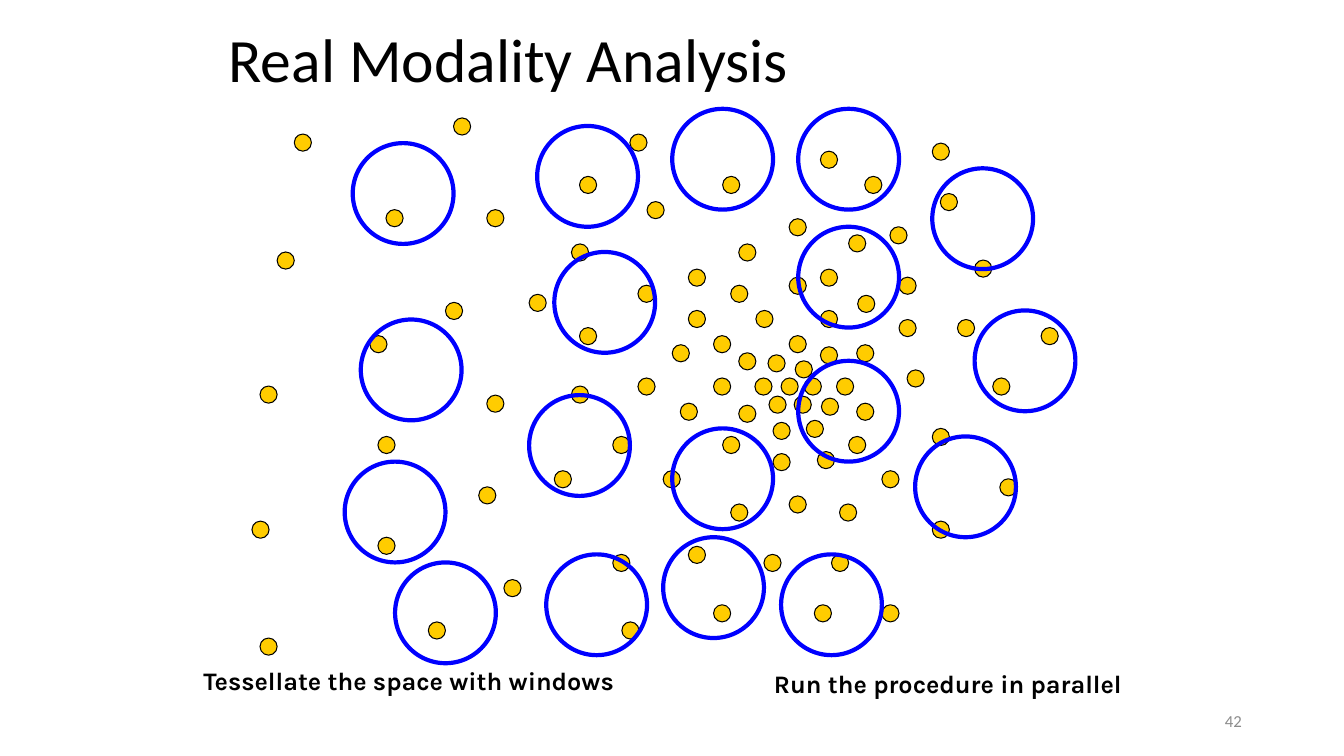
from pptx import Presentation
from pptx.dml.color import RGBColor
from pptx.enum.shapes import MSO_SHAPE
from pptx.enum.text import MSO_ANCHOR, PP_ALIGN
from pptx.util import Cm, Pt

OVAL = MSO_SHAPE.OVAL
TOP, MIDDLE = MSO_ANCHOR.TOP, MSO_ANCHOR.MIDDLE
LEFT, RIGHT = PP_ALIGN.LEFT, PP_ALIGN.RIGHT

COLORS = {"dot": "FFCC00", "outline": "000000", "window": "0000FF",
          "text": "000000", "number": "8C8C8C"}

UNIT = 2.54  # centimetres per layout unit
DOT_SIZE, WINDOW_SIZE = 0.17, 1

# Left and top of each data point, in layout units
DOTS = [
    (7.75, 3.75), (7.98, 3.75), (7.89, 3.58), (7.62, 3.52), (7.88, 3.93),
    (7.63, 3.93), (8.15, 3.95), (7.49, 3.75), (8.3, 3.75), (8.14, 3.44),
    (7.83, 3.33), (8, 4.17), (7.67, 4.19), (7.33, 4.02), (7.08, 3.75),
    (7.33, 3.5), (8.5, 4), (8.42, 4.33), (8.11, 4.48), (7.67, 4.5),
    (7.17, 4.33), (6.75, 4), (6.67, 3.42), (7.08, 3.33), (7.5, 3.08),
    (8.14, 3.08), (7.83, 2.75), (6.83, 3.08), (7.25, 2.83), (7.83, 2.17),
    (7.33, 2.42), (8.14, 2.67), (8.14, 1.5), (8.42, 2.33), (8.51, 2.93),
    (8.5, 3.42), (8.92, 3.17), (8.92, 2.75), (8.83, 2.25), (8.58, 1.75),
    (9.25, 1.42), (9.33, 1.92), (9.67, 2.58), (9, 3.67), (9.5, 3.17),
    (10.33, 3.25), (9.25, 4.25), (9.85, 3.75), (8.75, 4.67), (9.92, 4.75),
    (9.25, 5.17), (8.33, 5), (7.83, 4.92), (8.25, 5.5), (8.75, 6),
    (8.08, 6), (7.58, 5.5), (7.25, 5), (6.58, 4.67), (6.83, 5.42),
    (7.08, 6), (6.17, 6.17), (6.08, 5.5), (5.5, 4.67), (6.08, 4.33),
    (6.33, 3.75), (5.75, 3.25), (6.33, 2.83), (6.83, 2.67), (6.42, 2),
    (7.17, 1.75), (6.25, 1.33), (5.75, 1.75), (5.67, 2.42), (5.25, 2.92),
    (5.67, 3.83), (4.83, 3.92), (4.75, 4.83), (5, 5.75), (4.25, 6.17),
    (3.75, 5.33), (3.75, 4.33), (4.42, 3), (4.83, 2.08), (3.83, 2.08),
    (3.67, 3.33), (2.5, 5.17), (2.58, 6.33), (2.58, 3.83), (2.75, 2.5),
    (2.92, 1.33), (4.5, 1.17),
]

# Left and top of each search window
WINDOWS = [
    (3.92, 5.58), (3.42, 4.58), (3.58, 3.17), (3.5, 1.42), (5.33, 1.25),
    (5.42, 5.5), (6.58, 5.33), (7.75, 5.5), (9.08, 4.33), (9.67, 3.08),
    (9.25, 1.67), (7.92, 1.08), (6.67, 1.08), (5.25, 3.92), (5.5, 2.5),
    (7.92, 2.25), (7.92, 3.58), (6.67, 4.25),
]

# Text, box, font, size, bold, colour, anchor, alignment, wrap
TEXTS = [
    ("Tessellate the space with windows", (1.92, 6.55, 4.58, 0.4),
     "Karla", 18, True, "text", TOP, LEFT, True),
    ("Run the procedure in parallel", (7.58, 6.58, 3.66, 0.4),
     "Karla", 18, True, "text", TOP, LEFT, False),
    ("Real Modality Analysis", (2.17, 0, 9, 1.25),
     "Calibri", 44, False, "text", MIDDLE, LEFT, True),
    ("42", (9.42, 6.95, 3, 0.4),
     "Calibri", 12, False, "number", MIDDLE, RIGHT, True),
]


def cm(*values):
    return [Cm(v * UNIT) for v in values]


def rgb(name):
    return RGBColor.from_string(COLORS[name])


def add_circle(s, x, y, size, line, width, fill=None):
    sp = s.shapes.add_shape(OVAL, *cm(x, y, size, size))
    sp.shadow.inherit = False
    if fill:
        sp.fill.solid()
        sp.fill.fore_color.rgb = rgb(fill)
    else:
        sp.fill.background()
    sp.line.color.rgb = rgb(line)
    sp.line.width = Pt(width)


def add_text(s, text, box, font, size, bold, color, anchor, align, wrap):
    tf = s.shapes.add_textbox(*cm(*box)).text_frame
    tf.word_wrap = wrap
    tf.vertical_anchor = anchor
    p = tf.paragraphs[0]
    p.text = text
    p.alignment = align
    p.line_spacing = 0.9 if size == 44 else 1.0
    p.font.name = font
    p.font.size = Pt(size)
    p.font.bold = bold
    p.font.color.rgb = rgb(color)


def main():
    prs = Presentation()
    prs.slide_width, prs.slide_height = Cm(33.87), Cm(19.05)
    s = prs.slides.add_slide(prs.slide_layouts[6])

    # Data points
    for x, y in DOTS:
        add_circle(s, x, y, DOT_SIZE, "outline", 0.75, "dot")

    # Windows over the points
    for x, y in WINDOWS:
        add_circle(s, x, y, WINDOW_SIZE, "window", 3)

    # Captions, title and slide number
    for item in TEXTS:
        add_text(s, *item)

    prs.save("out.pptx")


if __name__ == "__main__":
    main()
